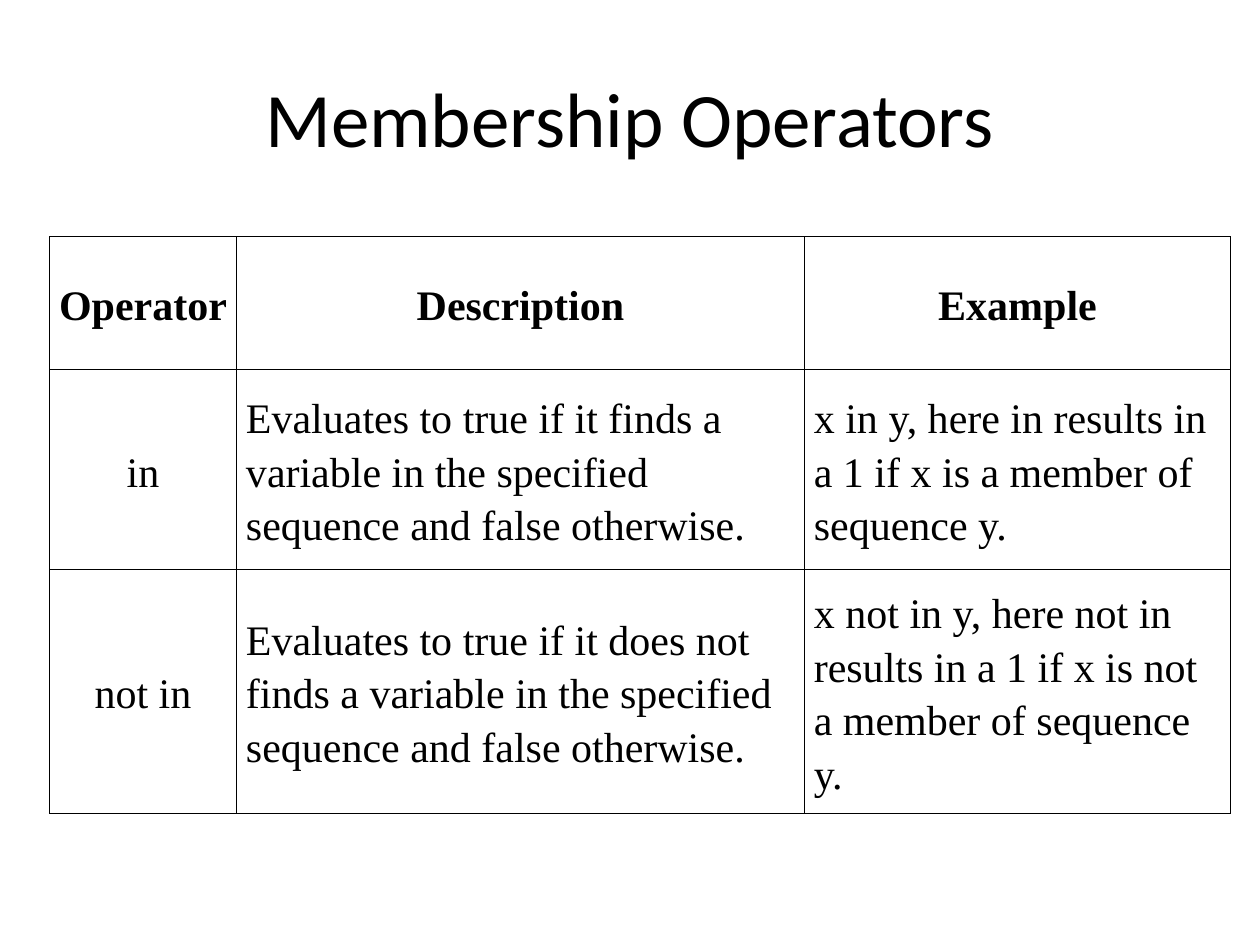
from lxml import etree
from pptx import Presentation
from pptx.dml.color import RGBColor
from pptx.enum.text import MSO_ANCHOR, PP_ALIGN
from pptx.oxml.ns import qn
from pptx.util import Pt

CENTER, LEFT = PP_ALIGN.CENTER, PP_ALIGN.LEFT
MIDDLE = MSO_ANCHOR.MIDDLE
BLACK = "000000"


def color(value):
    return RGBColor.from_string(value)


class SlideBuilder:
    title_font, table_font = "Calibri", "Times New Roman"
    title_size, table_size = 44, 24
    border_width = 0.45

    def __init__(self, slide):
        self.slide = slide

    def style(self, paragraph, font, size, align, bold=False):
        paragraph.alignment = align
        paragraph.font.name = font
        paragraph.font.size = Pt(size)
        paragraph.font.bold = bold
        paragraph.font.color.rgb = color(BLACK)

    def title(self, text, left, top, width, height):
        shape = self.slide.shapes.add_textbox(Pt(left), Pt(top), Pt(width), Pt(height))
        frame = shape.text_frame
        frame.word_wrap = True
        frame.vertical_anchor = MIDDLE
        frame.text = text
        self.style(frame.paragraphs[0], self.title_font, self.title_size, CENTER)

    def borders(self, cell):
        properties = cell._tc.get_or_add_tcPr()
        for side in ("a:lnL", "a:lnR", "a:lnT", "a:lnB"):
            line = etree.SubElement(properties, qn(side), w=str(Pt(self.border_width)))
            fill = etree.SubElement(line, qn("a:solidFill"))
            etree.SubElement(fill, qn("a:srgbClr"), val=BLACK)

    def cell(self, cell, text, align, bold):
        cell.margin_left = cell.margin_right = Pt(5.4)
        cell.margin_top = cell.margin_bottom = Pt(3.6)
        cell.vertical_anchor = MIDDLE
        self.borders(cell)
        cell.fill.background()
        cell.text = text
        paragraph = cell.text_frame.paragraphs[0]
        paragraph.line_spacing = 1.15
        self.style(paragraph, self.table_font, self.table_size, align, bold)

    def table(self, rows, left, top, widths, heights):
        table = self.slide.shapes.add_table(
            len(rows), len(widths), Pt(left), Pt(top), Pt(sum(widths)), Pt(sum(heights))
        ).table
        table.horz_banding = False
        for column, width in zip(table.columns, widths):
            column.width = Pt(width)
        for row, height in zip(table.rows, heights):
            row.height = Pt(height)
        for i, texts in enumerate(rows):
            for j, text in enumerate(texts):
                align = CENTER if i == 0 or j == 0 else LEFT
                self.cell(table.cell(i, j), text, align, bold=i == 0)


def main():
    presentation = Presentation()
    presentation.slide_width, presentation.slide_height = Pt(720), Pt(540)
    slide = presentation.slides.add_slide(presentation.slide_layouts[6])
    builder = SlideBuilder(slide)

    # Title
    builder.title("Membership Operators", 36, 21.6, 648, 90)

    # Operator table
    rows = [
        ("Operator", "Description", "Example"),
        ("in",
         "Evaluates to true if it finds a variable in the specified sequence and false otherwise.",
         "x in y, here in results in a 1 if x is a member of sequence y."),
        ("not in",
         "Evaluates to true if it does not finds a variable in the specified sequence and false otherwise.",
         "x not in y, here not in results in a 1 if x is not a member of sequence y."),
    ]
    builder.table(rows, 28.2, 135.2, widths=(107, 324.5, 243.5), heights=(76, 114, 132.5))

    presentation.save("out.pptx")


if __name__ == "__main__":
    main()
